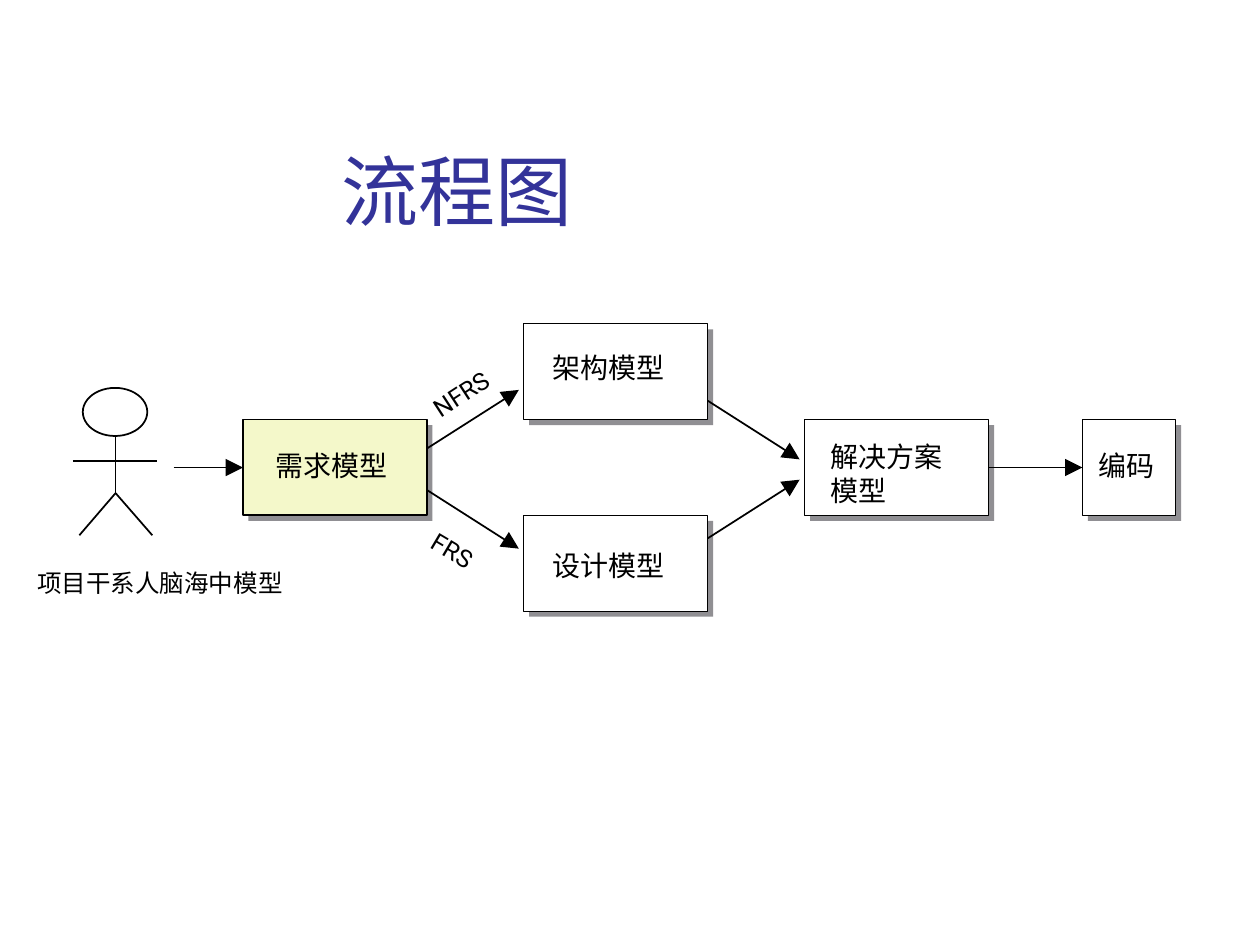
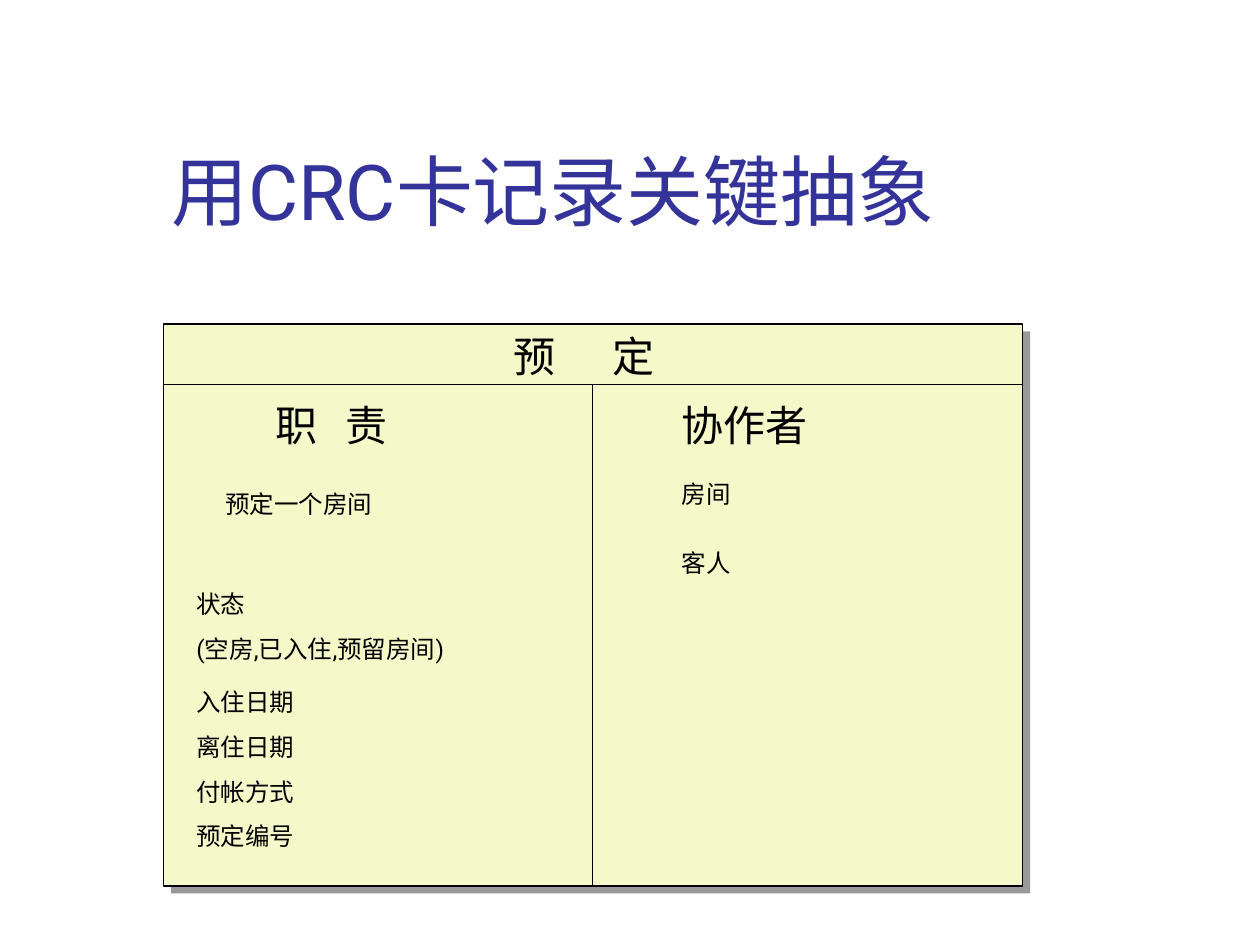
from lxml.etree import SubElement
from pptx import Presentation
from pptx.dml.color import RGBColor
from pptx.enum.shapes import MSO_CONNECTOR as Connector, MSO_SHAPE as Shape
from pptx.enum.text import MSO_ANCHOR as Anchor, PP_ALIGN as Align
from pptx.oxml.ns import qn
from pptx.util import Cm, Pt

BLACK, WHITE, TITLE_BLUE = "000000", "FFFFFF", "333399"
MODEL_FILL, MODEL_SHADOW = "F4F8CA", "908F93"
CARD_FILL, CARD_SHADOW = "F5F8C9", "9A9999"
LATIN_FONT, CHINESE_FONT = "Roboto", "Noto Sans CJK SC"
TITLE_BOX = (3.2, 1.7, 21.64, 3.18)
DIAGRAM_ORIGIN = (0.5, 6.53)
CARD_BOX = (3.3, 6.53, 17.32, 11.33)


def color(value):
    return RGBColor.from_string(value)


def write(shape, text, size=14, ink=BLACK, font=LATIN_FONT, anchor=Anchor.TOP,
          space=8.8, tab=None, insets=(0.25, 0.13, 0.25, 0.13)):
    frame = shape.text_frame
    frame.word_wrap = True
    frame.vertical_anchor = anchor
    frame.margin_left, frame.margin_top, frame.margin_right, frame.margin_bottom = map(Cm, insets)
    for index, line in enumerate(text.split("\n")):
        paragraph = frame.add_paragraph() if index else frame.paragraphs[0]
        paragraph.alignment = Align.LEFT
        if index:
            paragraph.space_before = Pt(space)
        if tab:
            tabs = SubElement(paragraph._p.get_or_add_pPr(), qn("a:tabLst"))
            SubElement(tabs, qn("a:tab"), pos=str(Cm(tab)), algn="l")
        run = paragraph.add_run()
        run.text = line
        run.font.size = Pt(size)
        run.font.color.rgb = color(ink)
        run.font.name = font
        SubElement(run.font._element, qn("a:ea"), typeface=CHINESE_FONT)


def add_text(slide, text, left, top, width, height, rotation=0, **style):
    box = slide.shapes.add_textbox(Cm(left), Cm(top), Cm(width), Cm(height))
    box.rotation = rotation
    write(box, text, **style)


def add_block(slide, left, top, width, height, fill=None, line=None, kind=Shape.RECTANGLE):
    block = slide.shapes.add_shape(kind, Cm(left), Cm(top), Cm(width), Cm(height))
    block.shadow.inherit = False
    if fill:
        block.fill.solid()
        block.fill.fore_color.rgb = color(fill)
    else:
        block.fill.background()
    if line:
        block.line.color.rgb = color(BLACK)
        block.line.width = Pt(line)
    else:
        block.line.fill.background()
    return block


def add_shadowed_block(slide, left, top, width, height, fill, shadow, offset, line):
    add_block(slide, left + offset, top + offset, width, height, shadow)
    return add_block(slide, left, top, width, height, fill, line)


def add_line(slide, x1, y1, x2, y2, width=1, arrow=False):
    line = slide.shapes.add_connector(Connector.STRAIGHT, Cm(x1), Cm(y1), Cm(x2), Cm(y2))
    line.line.color.rgb = color(BLACK)
    line.line.width = Pt(width)
    properties = line.element.spPr
    if arrow:
        SubElement(properties.find(qn("a:ln")), qn("a:tailEnd"),
                   type="triangle", w="lg", len="lg")
    SubElement(properties, qn("a:effectLst"))


def add_title_slide(presentation, title, indent=0, font=LATIN_FONT):
    slide = presentation.slides.add_slide(presentation.slide_layouts[6])
    left, top, width, height = TITLE_BOX
    add_text(slide, title, left + indent, top, width - indent, height,
             size=44, ink=TITLE_BLUE, font=font, anchor=Anchor.BOTTOM)
    return slide


def add_stakeholder(slide, left, top):
    add_block(slide, left + 0.2, top, 1.3, 0.97, line=1, kind=Shape.OVAL)
    neck, hip, foot = 0.97, 2.12, 2.97
    spine = 0.86
    limbs = [(spine, neck, spine, hip), (0, 1.47, 1.7, 1.47),
             (spine, hip, 0.13, foot), (spine, hip, 1.6, foot)]
    for x1, y1, x2, y2 in limbs:
        add_line(slide, left + x1, top + y1, left + x2, top + y2)


def add_model_flow(slide, left, top):
    width, height, pitch, first = 3.71, 1.93, 5.66, 4.4
    code_left = 21.32
    columns = [first + pitch * index for index in range(3)]
    models = [
        ("需求模型", columns[0], 1, width, MODEL_FILL, 1, 0.66, 0.58),
        ("架构模型", columns[1], 0, width, WHITE, 0.5, 0.58, 0.53),
        ("设计模型", columns[1], 2, width, WHITE, 0.5, 0.58, 0.66),
        ("解决方案模型", columns[2], 1, width, WHITE, 0.5, 0.53, 0.41),
        ("编码", code_left, 1, 1.88, WHITE, 0.5, 0.33, 0.58),
    ]
    for name, x, row, model_width, fill, line, inset_left, inset_top in models:
        block = add_shadowed_block(slide, left + x, top + row * height, model_width, height,
                                   fill, MODEL_SHADOW, 0.11, line)
        write(block, name, size=16, insets=(inset_left, inset_top, model_width * 0.18, 0))

    run, rise, middle = 1.85, 1.18, height * 1.5
    arrows = [(3, middle, first, middle),
              (columns[2] + width, middle, code_left, middle)]
    for column, y, direction in [(0, 2.51, -1), (0, 3.35, 1), (1, 1.55, 1), (1, 4.32, -1)]:
        x = columns[column] + width
        arrows.append((x, y, x + run, y + direction * rise))
    for x1, y1, x2, y2 in arrows:
        add_line(slide, left + x1, top + y1, left + x2, top + y2, arrow=True)

    for name, y, rotation in [("NFRS", 0.58, -33.2), ("FRS", 4.6, 30.6)]:
        add_text(slide, name, left + 7.81, top + y, 3.18, 0.86, rotation=rotation)
    add_stakeholder(slide, left + 0.97, top + 1.29)
    add_text(slide, "项目干系人脑海中模型", left, top + 4.8, 5.79, 0.86)


def add_crc_card(slide, left, top, width, height):
    header, split = 1.22, 8.64
    add_shadowed_block(slide, left, top, width, height, CARD_FILL, CARD_SHADOW, 0.15, 0.75)
    add_line(slide, left, top + header, left + width, top + header, 0.75)
    add_line(slide, left + split, top + header, left + split, top + height, 0.75)

    headings = [("预\t定", 6.81, 0, 4.8, 1.98, CHINESE_FONT),
                ("职\t责", 2.01, 1.4, 4.19, 1.4, LATIN_FONT),
                ("协作者", 10.19, 1.4, 4.19, None, LATIN_FONT)]
    for text, x, y, text_width, tab, font in headings:
        add_text(slide, text, left + x, top + y, text_width, 1.27, size=24, tab=tab, font=font)

    entries = [("预定一个房间", 0.99, 3.2, 4.8, 0.86),
               ("房间", 10.19, 3, 2.39, 0.86),
               ("客人", 10.19, 4.39, 2.79, 0.86),
               ("状态\n(空房,已入住,预留房间)", 0.41, 5.21, 7.01, 1.78),
               ("入住日期\n离住日期\n付帐方式\n预定编号", 0.41, 7.19, 4.19, 3.56)]
    for text, x, y, text_width, text_height in entries:
        add_text(slide, text, left + x, top + y, text_width, text_height)


def main():
    presentation = Presentation()
    presentation.slide_width, presentation.slide_height = Cm(25.4), Cm(19.05)
    flow_slide = add_title_slide(presentation, "流程图", indent=3.43, font=CHINESE_FONT)
    add_model_flow(flow_slide, *DIAGRAM_ORIGIN)
    card_slide = add_title_slide(presentation, "用CRC卡记录关键抽象")
    add_crc_card(card_slide, *CARD_BOX)
    presentation.save("out.pptx")


if __name__ == "__main__":
    main()
